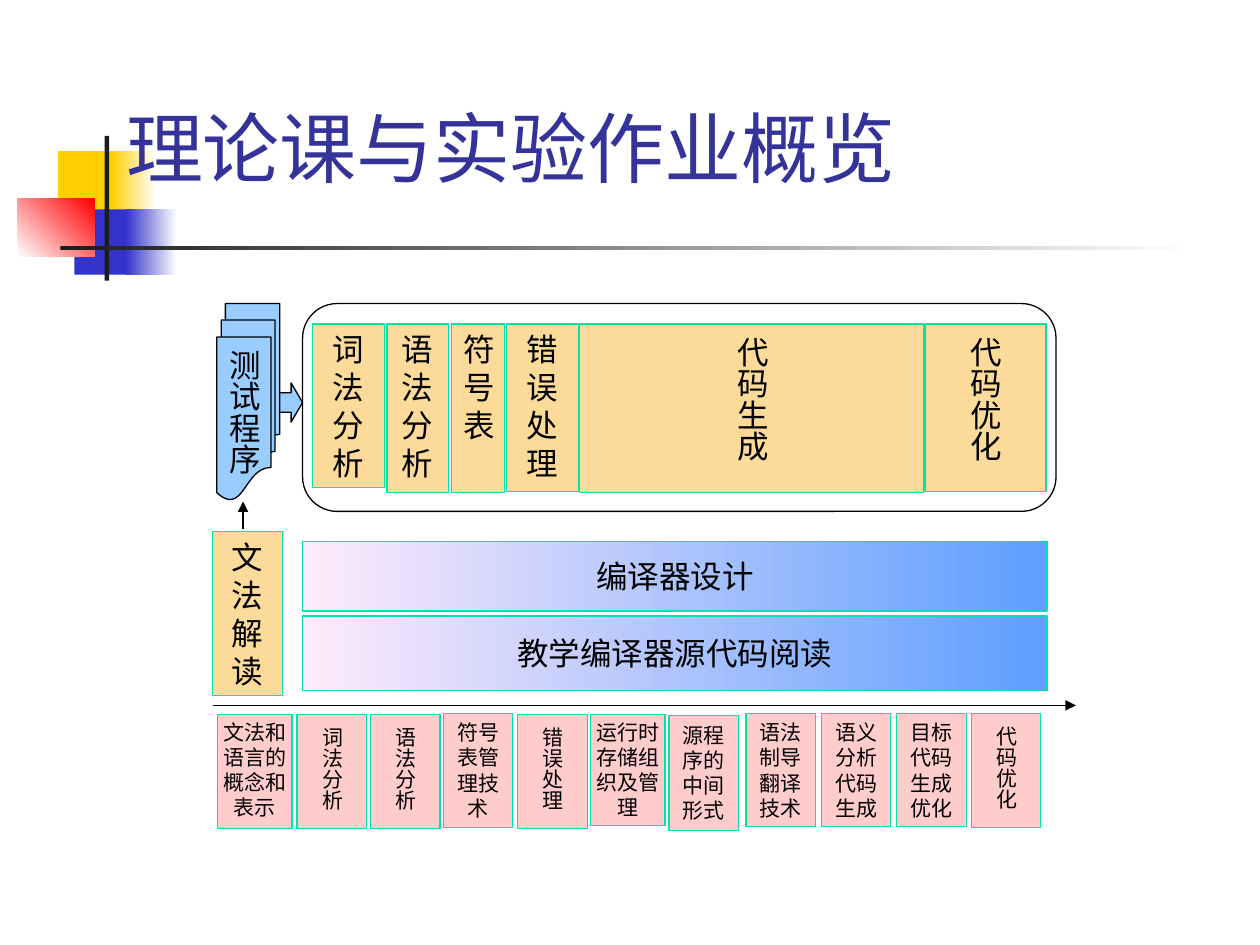
from dataclasses import dataclass

from lxml.etree import SubElement
from pptx import Presentation
from pptx.dml.color import RGBColor
from pptx.enum.shapes import MSO_CONNECTOR as Line, MSO_SHAPE as Shape
from pptx.enum.text import MSO_ANCHOR as Anchor, PP_ALIGN as Align
from pptx.oxml.ns import qn
from pptx.util import Cm, Pt


@dataclass(frozen=True)
class Theme:
    font: str = "Lato"
    title: str = "333399"
    text: str = "000000"
    yellow: str = "FFCF01"
    blue: str = "3333CC"
    red: str = "FF0000"
    dark: str = "1C1C1C"
    white: str = "FFFFFF"
    pink: str = "FFEBFA"
    sky: str = "5E9EFF"
    border: str = "00E4A8"
    lab: str = "FCDB9A"
    topic: str = "FFCCCC"
    program: str = "99CCFF"
    title_size: int = 44
    large: int = 18
    small: int = 12
    line: float = 0.75


T = Theme()
SIDE = (0.25, 0.13, 0.25, 0.13)
UPRIGHT = (0.13, 0.25, 0.13, 0.25)
TIGHT = (0.1, 0.1, 0.1, 0.1)


def rgb(color):
    return RGBColor.from_string(color)


def paint(sp, fill, line=None, angle=0):
    sp.shadow.inherit = False
    if fill is None:
        sp.fill.background()
    elif isinstance(fill, tuple):
        sp.fill.gradient()
        sp.fill.gradient_angle = angle
        for stop, color in zip(sp.fill.gradient_stops, fill):
            stop.color.rgb = rgb(color)
    else:
        sp.fill.solid()
        sp.fill.fore_color.rgb = rgb(fill)
    if line:
        sp.line.color.rgb = rgb(line)
        sp.line.width = Pt(T.line)
    else:
        sp.line.fill.background()


def add_box(s, box, fill, line=None, kind=Shape.RECTANGLE, angle=0):
    sp = s.shapes.add_shape(kind, *map(Cm, box))
    paint(sp, fill, line, angle)
    return sp


def write(sp, text, size, color=T.text, align=Align.CENTER, anchor=Anchor.MIDDLE,
          inset=SIDE, vertical=False, wrap=True):
    tf = sp.text_frame
    tf.text = text
    tf.word_wrap = wrap
    tf.vertical_anchor = anchor
    tf.margin_left, tf.margin_top, tf.margin_right, tf.margin_bottom = map(Cm, inset)
    if vertical:
        tf._txBody.bodyPr.set("vert", "eaVert")
    p = tf.paragraphs[0]
    p.alignment = align
    r = p.runs[0]
    r.font.name = T.font
    r.font.size = Pt(size)
    r.font.color.rgb = rgb(color)


def add_label(s, box, text, fill, size, vertical=False, anchor=Anchor.TOP, inset=SIDE):
    sp = add_box(s, box, fill, T.border)
    if vertical:
        anchor, inset = Anchor.MIDDLE, UPRIGHT
    write(sp, text, size, anchor=anchor, inset=inset, vertical=vertical)


def add_arrow(s, x1, y1, x2, y2):
    cxn = s.shapes.add_connector(Line.STRAIGHT, *map(Cm, (x1, y1, x2, y2)))
    cxn.line.color.rgb = rgb(T.text)
    cxn.line.width = Pt(T.line)
    SubElement(cxn.line._get_or_add_ln(), qn("a:tailEnd"), type="triangle")
    SubElement(cxn._element.spPr, qn("a:effectLst"))


def add_ornament(s, x, y):
    parts = [
        (0.81, 0.31, 1.22, 1.32, T.yellow, 0),
        (1.88, 0.31, 0.91, 1.32, (T.yellow, T.white), 0),
        (1.14, 1.48, 1.17, 1.32, T.blue, 0),
        (2.18, 1.48, 1.02, 1.32, (T.blue, T.white), 0),
        (0, 1.27, 1.55, 1.17, (T.white, T.red), 45),
        (1.75, 0, 0.09, 2.92, T.dark, 0),
        (0.86, 2.21, 22.86, 0.09, (T.dark, T.white), 0),
    ]
    for dx, dy, w, h, fill, angle in parts:
        add_box(s, (x + dx, y + dy, w, h), fill, angle=angle)


def add_title(s, box, text):
    sp = s.shapes.title
    sp.left, sp.top, sp.width, sp.height = map(Cm, box)
    write(sp, text, T.title_size, T.title, Align.LEFT, Anchor.BOTTOM)
    s.shapes._spTree.append(sp._element)


def add_test_inputs(s, x, y):
    docs = add_box(s, (x + 0.08, y, 1.27, 3.96), T.program, T.text, Shape.FLOWCHART_MULTIDOCUMENT)
    write(docs, "测试程序", T.large, inset=UPRIGHT, vertical=True, wrap=False)
    add_box(s, (x + 1.35, y + 1.6, 0.46, 0.79), T.program, T.text, Shape.RIGHT_ARROW)
    add_label(s, (x, y + 4.6, 1.4, 3.3), "文法解读", T.lab, T.large)
    add_arrow(s, x + 0.61, y + 4.55, x + 0.61, y + 3.99)


def add_lab_panel(s, x, y, w, h):
    add_box(s, (x, y, w, h), None, T.text, Shape.ROUNDED_RECTANGLE)
    labs = [
        ("词法分析", 0.2, 1.45, 3.3, False),
        ("语法分析", 1.7, 1.24, 3.4, False),
        ("符号表", 3.0, 1.07, 3.4, False),
        ("错误处理", 4.11, 1.45, 3.38, False),
        ("代码生成", 5.59, 6.93, 3.4, True),
        ("代码优化", 12.55, 2.44, 3.38, True),
    ]
    for text, dx, width, height, vertical in labs:
        add_label(s, (x + dx, y + 0.41, width, height), text, T.lab, T.large, vertical)


def add_bars(s, x, y, w):
    for text, dy, h in (("编译器设计", 0, 1.4), ("教学编译器源代码阅读", 1.5, 1.5)):
        add_label(s, (x, y + dy, w, h), text, (T.pink, T.sky), T.large, anchor=Anchor.MIDDLE)


def add_topics(s, x, y, w):
    add_arrow(s, x, y, x + w, y)
    topics = [
        ("文法和语言的概念和表示", 0.1, 0.18, 1.5, 2.31, False, TIGHT),
        ("词法分析", 1.7, 0.18, 1.4, 2.31, True, SIDE),
        ("语法分析", 3.18, 0.18, 1.4, 2.31, True, SIDE),
        ("符号表管理技术", 4.65, 0.16, 1.4, 2.31, False, SIDE),
        ("错误处理", 6.15, 0.18, 1.4, 2.31, True, SIDE),
        ("运行时存储组织及管理", 7.62, 0.18, 1.5, 2.24, False, TIGHT),
        ("源程序的中间形式", 9.2, 0.21, 1.4, 2.31, False, SIDE),
        ("语法制导翻译技术", 10.75, 0.16, 1.4, 2.29, False, SIDE),
        ("语义分析代码生成", 12.27, 0.16, 1.4, 2.29, False, SIDE),
        ("目标代码生成优化", 13.79, 0.16, 1.4, 2.29, False, SIDE),
        ("代码优化", 15.29, 0.16, 1.4, 2.31, True, SIDE),
    ]
    for text, dx, dy, width, height, vertical, inset in topics:
        add_label(s, (x + dx, y + dy, width, height), text, T.topic, T.small, vertical, inset=inset)


def main():
    prs = Presentation()
    prs.slide_width, prs.slide_height = Cm(25.4), Cm(19.05)
    s = prs.slides.add_slide(prs.slide_layouts[5])
    add_ornament(s, 0.36, 2.74)
    add_title(s, (2.29, 1.68, 21.64, 2.34), "理论课与实验作业概览")
    add_bars(s, 6.1, 10.92, 15.01)
    add_test_inputs(s, 4.29, 6.12)
    add_lab_panel(s, 6.1, 6.12, 15.19, 4.19)
    add_topics(s, 4.29, 14.22, 17.4)
    prs.save("out.pptx")


if __name__ == "__main__":
    main()
